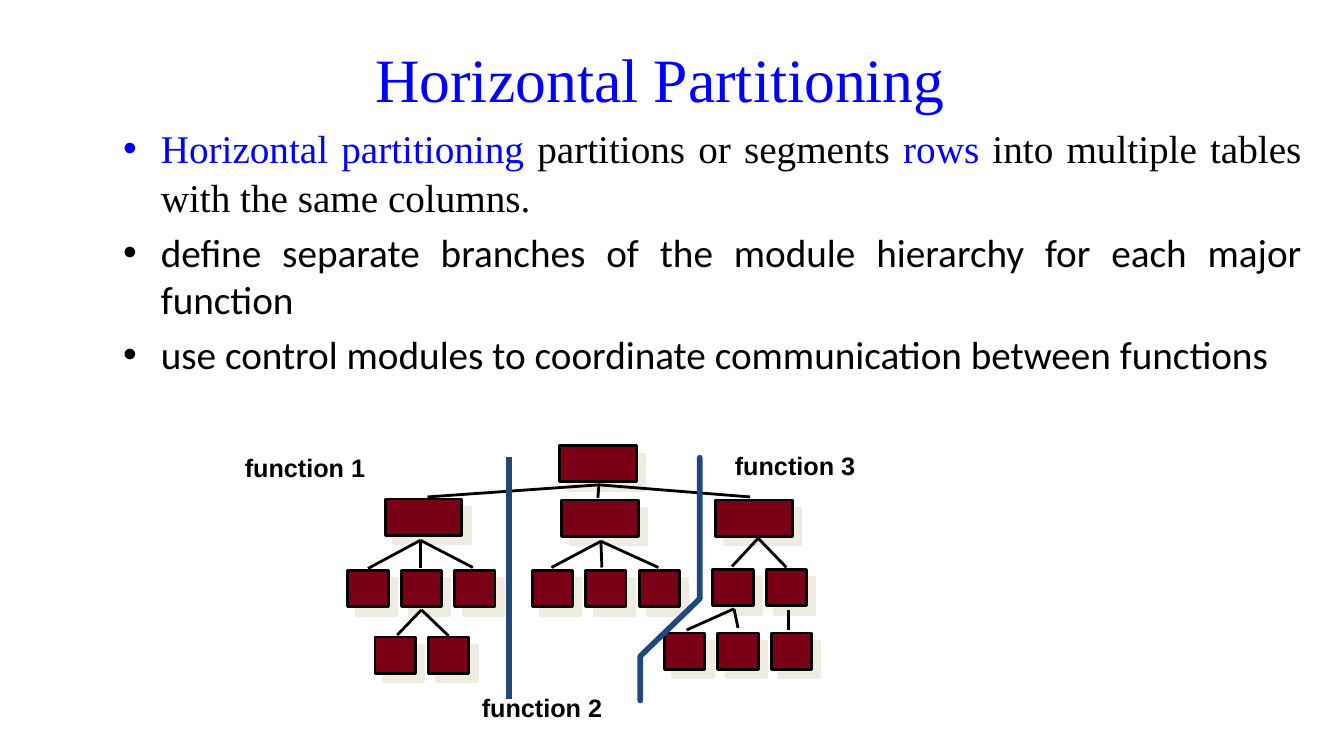
"""Build the Horizontal Partitioning slide with its module hierarchy."""
from dataclasses import dataclass

from lxml import etree
from pptx import Presentation
from pptx import util as u
from pptx.dml.color import RGBColor
from pptx.enum import shapes, text
from pptx.oxml.ns import qn


@dataclass(frozen=True)
class Theme:
    accent: str = "0000FF"
    ink: str = "000000"
    module: str = "790015"
    divider: str = "1F497D"
    shade: str = "EEECE1"
    serif: str = "Times New Roman"
    sans: str = "Calibri"
    label_font: str = "Arial"
    title_size: int = 44
    body_size: int = 28
    label_size: int = 18
    link_width: int = 2
    divider_width: int = 4


THEME = Theme()
PX = 9144
SLIDE = (1333, 750)

TITLE = "Horizontal Partitioning"
TITLE_AREA = (55, 15, 1200, 125)
BODY_AREA = (112, 116, 1189, 450)
POINTS = [
    (THEME.serif, text.PP_ALIGN.JUSTIFY, [
        ("Horizontal partitioning", THEME.accent),
        (" partitions or segments ", THEME.ink),
        ("rows", THEME.accent),
        (" into multiple tables with the same columns.", THEME.ink),
    ]),
    (THEME.sans, text.PP_ALIGN.JUSTIFY, [
        ("define separate branches of the module hierarchy for each major function", THEME.ink),
    ]),
    (THEME.sans, text.PP_ALIGN.LEFT, [
        ("use control modules to coordinate communication between functions", THEME.ink),
    ]),
]

MODULE_HEIGHT, MODULE_STEP = 36, 53
CONTROL_WIDTH, WORKER_WIDTH = 76, 40
CONTROLS = [(555, 442), (382, 495), (557, 496), (710, 496)]
WORKER_ROWS = [
    (345, 566, 3), (528, 566, 3), (707, 565, 2),
    (659, 628, 3), (372, 632, 2),
]
FANS = [
    ((594, 481), [(424, 493), (593, 494), (744, 493)]),
    ((417, 536), [(365, 564), (417, 564), (469, 563)]),
    ((596, 537), [(547, 563), (597, 563), (653, 563)]),
    ((752, 534), [(726, 562), (780, 563)]),
    ((728, 604), [(681, 625), (732, 623)]),
    ((782, 605), [(782, 625)]),
    ((418, 605), [(394, 630), (445, 631)]),
]
STRAIGHT_DIVIDER = ((505, 453), (505, 693))
BENT_DIVIDER = [(694, 454), (694, 594), (635, 651), (635, 695)]
LABELS = [("function 1", 233, 444), ("function 3", 719, 442), ("function 2", 468, 682)]
LABEL_SIZE = (141, 40)


def emu(lengths):
    return [length * PX for length in lengths]


def place(part, area):
    part.left, part.top, part.width, part.height = emu(area)


def style_run(run, face, size, colour, bold=None):
    run.font.name, run.font.size, run.font.bold = face, u.Pt(size), bold
    run.font.color.rgb = RGBColor.from_string(colour)


def style_line(part, colour, width):
    part.line.color.rgb = RGBColor.from_string(colour)
    part.line.width = u.Pt(width)


def add_module(slide, left, top, width):
    module = slide.shapes.add_shape(
        shapes.MSO_SHAPE.RECTANGLE, *emu((left, top, width, MODULE_HEIGHT)))
    module.fill.solid()
    module.fill.fore_color.rgb = RGBColor.from_string(THEME.module)
    style_line(module, THEME.ink, THEME.link_width)
    module.shadow.inherit = False
    effects = module._element.spPr.find(qn("a:effectLst"))
    shade = etree.SubElement(effects, qn("a:outerShdw"), dist=str(u.Pt(8.5)),
                             dir="2700000", algn="ctr", rotWithShape="0")
    etree.SubElement(shade, qn("a:srgbClr"), val=THEME.shade)


def add_link(slide, start, end, colour, width):
    link = slide.shapes.add_connector(
        shapes.MSO_CONNECTOR.STRAIGHT, *emu(start), *emu(end))
    style_line(link, colour, width)
    etree.SubElement(link._element.spPr, qn("a:effectLst"))


def add_bent_divider(slide):
    outline = slide.shapes.build_freeform(*BENT_DIVIDER[0], scale=PX)
    outline.add_line_segments(BENT_DIVIDER[1:], close=False)
    divider = outline.convert_to_shape()
    divider.fill.background()
    style_line(divider, THEME.divider, THEME.divider_width)
    divider.line._ln.set("cap", "rnd")
    divider.shadow.inherit = False


def add_label(slide, wording, left, top):
    label = slide.shapes.add_textbox(*emu((left, top, *LABEL_SIZE)))
    label.text_frame.word_wrap = False
    label.text_frame.text = wording
    style_run(label.text_frame.paragraphs[0].runs[0],
              THEME.label_font, THEME.label_size, THEME.ink, True)


def fill_title(title):
    place(title, TITLE_AREA)
    title.text_frame.text = TITLE
    title.text_frame.vertical_anchor = text.MSO_ANCHOR.MIDDLE
    heading = title.text_frame.paragraphs[0]
    heading.alignment = text.PP_ALIGN.CENTER
    style_run(heading.runs[0], THEME.serif, THEME.title_size, THEME.accent)


def fill_body(body):
    place(body, BODY_AREA)
    frame = body.text_frame
    frame.auto_size = text.MSO_AUTO_SIZE.NONE
    frame.text = "\n".join("" for _ in POINTS)
    for point, (face, alignment, pieces) in zip(frame.paragraphs, POINTS):
        point.alignment = alignment
        for wording, colour in pieces:
            run = point.add_run()
            run.text = wording
            style_run(run, face, THEME.body_size, colour)
    frame.paragraphs[0].space_before = u.Pt(0)
    frame.paragraphs[0].line_spacing = 1.05


def main():
    deck = Presentation()
    deck.slide_width, deck.slide_height = emu(SLIDE)
    slide = deck.slides.add_slide(deck.slide_layouts[1])
    fill_title(slide.shapes.title)
    fill_body(slide.placeholders[1])
    for left, top in CONTROLS:
        add_module(slide, left, top, CONTROL_WIDTH)
    for left, top, count in WORKER_ROWS:
        for column in range(count):
            add_module(slide, left + column * MODULE_STEP, top, WORKER_WIDTH)
    for hub, tips in FANS:
        for tip in tips:
            add_link(slide, hub, tip, THEME.ink, THEME.link_width)
    add_link(slide, *STRAIGHT_DIVIDER, THEME.divider, THEME.divider_width)
    add_bent_divider(slide)
    for label in LABELS:
        add_label(slide, *label)
    deck.save("out.pptx")


if __name__ == "__main__":
    main()
